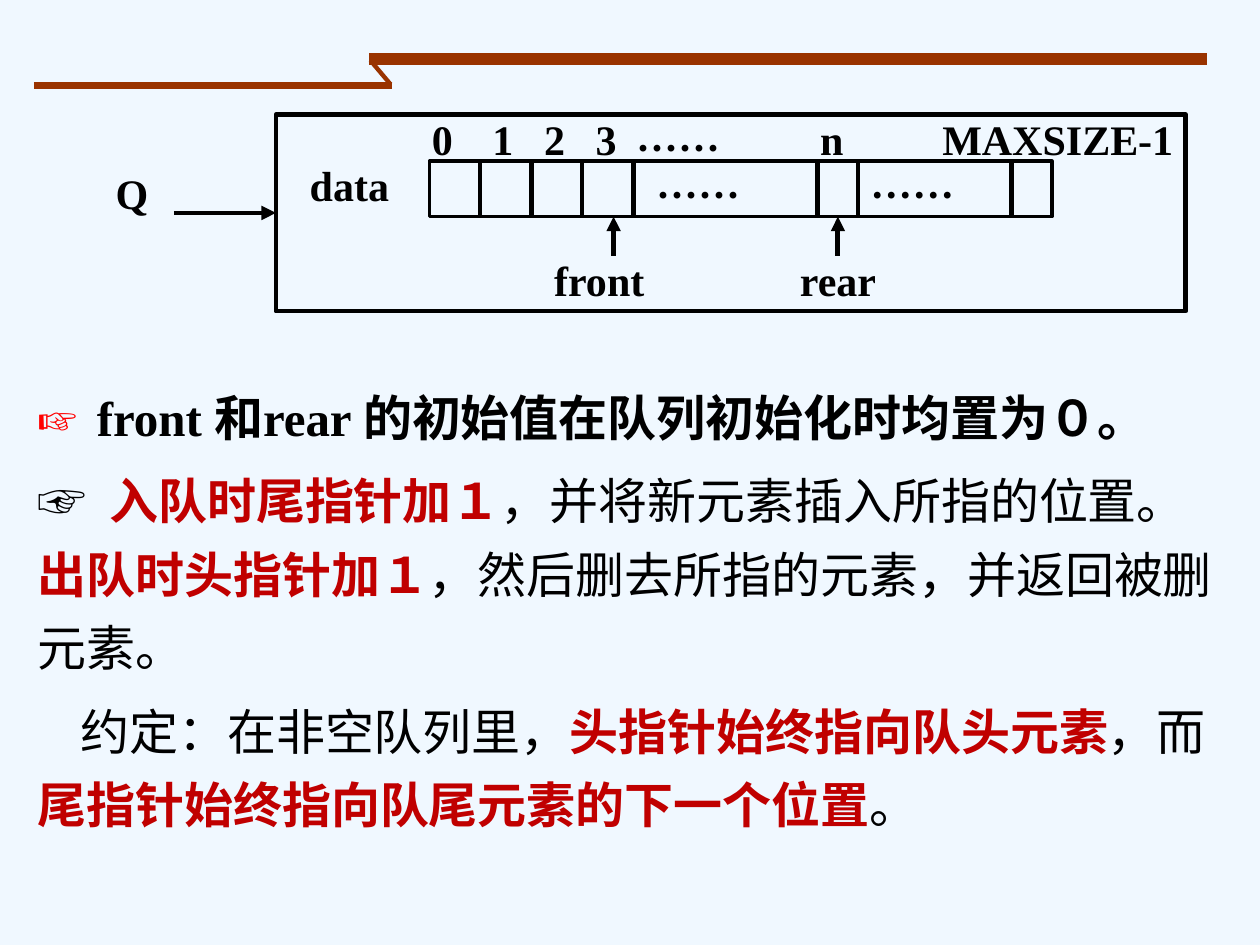
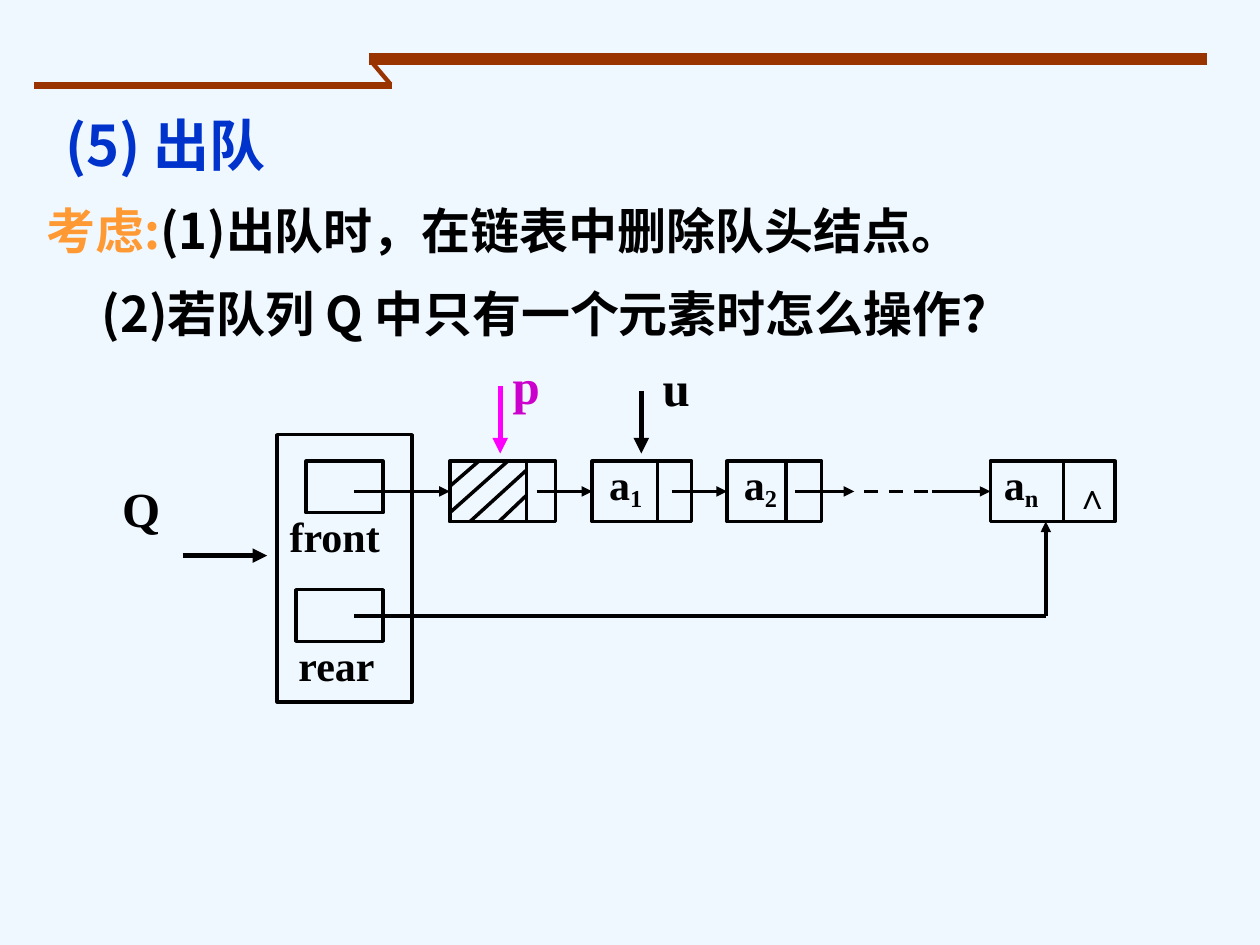
import pptx
import pptx.util
import pptx.dml.color
import pptx.enum.dml
import pptx.enum.shapes
import pptx.enum.text
import pptx.oxml
import pptx.oxml.ns

Inches = pptx.util.Inches
Pt = pptx.util.Pt
qn = pptx.oxml.ns.qn

COLORS = {
    "background": "F0F8FF", "band": "993300", "ink": "000000", "hand": "FF0000",
    "key": "C00000", "title": "0033CC", "consider": "FF9933",
    "p_arrow": "FF00FF", "p_label": "CC00CC",
}
SERIF = "Times New Roman"
SANS = "Noto Sans CJK SC"

BANDS = [((2.93, 0.47), (9.58, 0.47), 6.5),
         ((0.27, 0.68), (3.11, 0.68), 4),
         ((2.94, 0.48), (3.1, 0.67), 2.5)]

QUEUE_FRAME = (2.19, 0.91, 7.22, 1.56)
ARRAY = (3.41, 1.28, 4.94, 0.44)
ARRAY_DIVIDERS = [3.81, 4.22, 4.62, 5.03, 6.49, 6.81, 8.03]
ARRAY_LABELS = [
    ("0", 3.33, 0.85, 0.57), ("1", 3.81, 0.85, 0.49), ("2", 4.22, 0.85, 0.65),
    ("3", 4.63, 0.85, 0.57), ("n", 6.41, 0.85, 0.49), ("MAXSIZE-1", 7.38, 0.85, 2.19),
    ("······", 4.95, 0.91, 0.97), ("······", 5.11, 1.28, 0.97),
    ("······", 6.81, 1.28, 0.97), ("data", 2.36, 1.22, 1.22),
    ("front", 4.3, 1.97, 1.3), ("rear", 6.25, 1.97, 1.22), ("Q", 0.82, 1.28, 0.81),
]
ARRAY_POINTERS = [4.87, 6.65]

RULES = [
    {"tab": 0.47, "runs": [("☞", "hand", True),
                           ("\tfront 和rear 的初始值在队列初始化时均置为０。", "ink", True)]},
    {"tab": 0.57, "runs": [("☞\t", "ink", True), ("入队时尾指针加１", "key", True),
                           ("，并将新元素插入所指的位置。", "ink", False),
                           ("出队时头指针加１", "key", True),
                           ("，然后删去所指的元素，并返回被删元素。", "ink", False)]},
    {"indent": 0.34, "runs": [("约定：在非空队列里，", "ink", False),
                              ("头指针始终指向队头元素", "key", True),
                              ("，而", "ink", False),
                              ("尾指针始终指向队尾元素的下一个位置", "key", True),
                              ("。", "ink", False)]},
]

DEQUEUE_TITLE = [{"runs": [("(5) 出队", "title", True)]}]
QUESTIONS = [
    {"runs": [("考虑:", "consider", True), ("(1)出队时，在链表中删除队头结点。", "ink", True)]},
    {"indent": 0.44, "runs": [("(2)若队列 Q 中只有一个元素时怎么操作?", "ink", True)]},
]

NODE_TOP, NODE_HEIGHT = 3.66, 0.48
LINK_Y = NODE_TOP + NODE_HEIGHT / 2
NODES = {
    "head": (3.57, 0.84, 4.18), "a1": (4.7, 0.79, 5.22),
    "a2": (5.77, 0.75, 6.24), "an": (7.86, 0.99, 8.44),
}
NODE_LABELS = [("1", 4.57, 0.79), ("2", 5.56, 0.95), ("n", 7.81, 0.59)]
LINKS = [(2.81, "head"), (4.26, "a1"), (5.33, "a2"), (7.4, "an")]
HATCHING = [((3.8, 3.66), (3.57, 3.86)), ((4.03, 3.66), (3.57, 4.07)),
            ((4.18, 3.73), (3.73, 4.14)), ((4.18, 3.93), (3.96, 4.14))]
QUEUE_BOXES = [(2.2, 3.45, 1.07, 2.12), (2.43, 3.66, 0.61, 0.41), (2.35, 4.68, 0.69, 0.41)]
LIST_LABELS = [
    ("p", 3.97, 2.77, 0.5, 28, "p_label"), ("u", 5.16, 2.79, 0.58, 28, "ink"),
    ("Q", 0.87, 3.75, 0.75, 28, "ink"), ("front", 2.2, 4, 1.3, 24, "ink"),
    ("rear", 2.27, 5.03, 1.22, 24, "ink"),
]
REAR_Y, REAR_X = 4.89, 8.3


def rgb(color):
    return pptx.dml.color.RGBColor.from_string(COLORS[color])


def add_line(slide, start, end, width=2, color="ink", arrow=False, dashed=False, target=None):
    line = slide.shapes.add_connector(
        pptx.enum.shapes.MSO_CONNECTOR.STRAIGHT, *(Inches(v) for v in (*start, *end)))
    line.line.color.rgb = rgb(color)
    line.line.width = Pt(width)
    if dashed:
        line.line.dash_style = pptx.enum.dml.MSO_LINE.DASH
    if arrow:
        tip = pptx.oxml.ns.nsdecls("a")
        line.line._get_or_add_ln().append(
            pptx.oxml.parse_xml(f'<a:tailEnd {tip} type="triangle"/>'))
    properties = line._element.spPr
    properties.append(properties.makeelement(qn("a:effectLst"), {}))
    if target is not None:
        line.end_connect(target, 1)
    return line


def add_box(slide, place, width=2, preset=pptx.enum.shapes.MSO_SHAPE.RECTANGLE):
    box = slide.shapes.add_shape(preset, *(Inches(v) for v in place))
    box.shadow.inherit = False
    box.fill.background()
    box.line.color.rgb = rgb("ink")
    box.line.width = Pt(width)
    return box


def style_run(run, size, color="ink", bold=True, font=SERIF):
    run.font.name = font
    run.font.size = Pt(size)
    run.font.bold = bold
    run.font.color.rgb = rgb(color)
    latin = run._r.rPr.find(qn("a:latin"))
    latin.addnext(latin.makeelement(qn("a:ea"), {"typeface": SANS}))


def add_text_frame(slide, place, wrap=True):
    frame = slide.shapes.add_textbox(*(Inches(v) for v in place)).text_frame
    frame.word_wrap = wrap
    return frame


def add_label(slide, text, left, top, width, size=24, color="ink"):
    frame = add_text_frame(slide, (left, top, width, 0.5 if size == 24 else 0.57))
    frame.text = text
    style_run(frame.paragraphs[0].runs[0], size, color)


def add_paragraphs(slide, place, content, size, font, spacing, gap):
    frame = add_text_frame(slide, place)
    for number, part in enumerate(content):
        paragraph = frame.add_paragraph() if number else frame.paragraphs[0]
        properties = paragraph._p.get_or_add_pPr()
        if "indent" in part:
            properties.set("marL", "0")
            properties.set("indent", str(Inches(part["indent"])))
        if "tab" in part:
            tabs = properties.makeelement(qn("a:tabLst"), {})
            tabs.append(tabs.makeelement(
                qn("a:tab"), {"pos": str(Inches(part["tab"])), "algn": "l"}))
            properties.append(tabs)
        paragraph.line_spacing = spacing
        if number:
            paragraph.space_before = Pt(gap)
        for text, color, bold in part["runs"]:
            run = paragraph.add_run()
            run.text = text
            style_run(run, size, color, bold, font)


def add_banded_slide(deck):
    slide = deck.slides.add_slide(deck.slide_layouts[6])
    slide.background.fill.solid()
    slide.background.fill.fore_color.rgb = rgb("background")
    for start, end, width in BANDS:
        add_line(slide, start, end, width, "band")
    return slide


def build_array_slide(deck):
    slide = add_banded_slide(deck)
    frame = add_box(slide, QUEUE_FRAME, 2.75)
    add_box(slide, ARRAY)
    top, bottom = ARRAY[1], ARRAY[1] + ARRAY[3]
    for x in ARRAY_DIVIDERS:
        add_line(slide, (x, top), (x, bottom), 2.75)
    for x in ARRAY_POINTERS:
        add_line(slide, (x, 2.03), (x, bottom), 2.75, arrow=True)
    middle = QUEUE_FRAME[1] + QUEUE_FRAME[3] / 2
    add_line(slide, (1.38, middle), (QUEUE_FRAME[0], middle), 2.75, arrow=True, target=frame)
    for label in ARRAY_LABELS:
        add_label(slide, *label)
    add_paragraphs(slide, (0.2, 2.91, 9.53, 3.79), RULES, 28, SERIF, 1.25, 5.6)


def build_list_slide(deck):
    slide = add_banded_slide(deck)
    add_paragraphs(slide, (0.42, 0.75, 3.84, 0.74), DEQUEUE_TITLE, 32, SANS, 1.15, 0)
    add_paragraphs(slide, (0.27, 1.54, 9.5, 1.27), QUESTIONS, 28, SANS, 1.0, 14)
    for place in QUEUE_BOXES:
        add_box(slide, place)

    nodes = {}
    shapes = pptx.enum.shapes.MSO_SHAPE
    for name, (left, width, divider) in NODES.items():
        preset = shapes.FLOWCHART_PROCESS if name == "head" else shapes.RECTANGLE
        nodes[name] = add_box(slide, (left, NODE_TOP, width, NODE_HEIGHT), preset=preset)
        add_line(slide, (divider, NODE_TOP), (divider, NODE_TOP + NODE_HEIGHT))
    for start, end in HATCHING:
        add_line(slide, start, end)
    for x, name in LINKS:
        add_line(slide, (x, LINK_Y), (NODES[name][0], LINK_Y), arrow=True, target=nodes[name])
    add_line(slide, (6.31, LINK_Y), (6.78, LINK_Y), arrow=True)
    add_line(slide, (6.86, LINK_Y), (7.4, LINK_Y), dashed=True)

    add_line(slide, (3.97, 3.06), (3.97, 3.6), 3, "p_arrow", arrow=True)
    add_line(slide, (5.09, 3.1), (5.09, 3.6), 3, arrow=True)
    add_line(slide, (1.45, 4.41), (2.12, 4.41), 2.75, arrow=True)
    add_line(slide, (2.81, REAR_Y), (REAR_X, REAR_Y))
    add_line(slide, (REAR_X, REAR_Y), (REAR_X, NODE_TOP + NODE_HEIGHT), arrow=True)

    center = pptx.enum.text.PP_ALIGN.CENTER
    for index, left, width in NODE_LABELS:
        element = add_text_frame(slide, (left, 3.59, width, 0.5)).paragraphs[0]
        element.alignment = center
        for text in ("a", index):
            run = element.add_run()
            run.text = text
            style_run(run, 24)
        run.font._element.set("baseline", "-16000")
    null_mark = add_text_frame(slide, (8.43, 3.72, 0.48, 0.43), wrap=False)
    null_mark.text = "∧"
    null_mark.paragraphs[0].alignment = center
    style_run(null_mark.paragraphs[0].runs[0], 20)
    for label in LIST_LABELS:
        add_label(slide, *label)


def main():
    deck = pptx.Presentation()
    deck.slide_width = Inches(10)
    deck.slide_height = Inches(7.5)
    build_array_slide(deck)
    build_list_slide(deck)
    deck.save("out.pptx")


if __name__ == "__main__":
    main()
